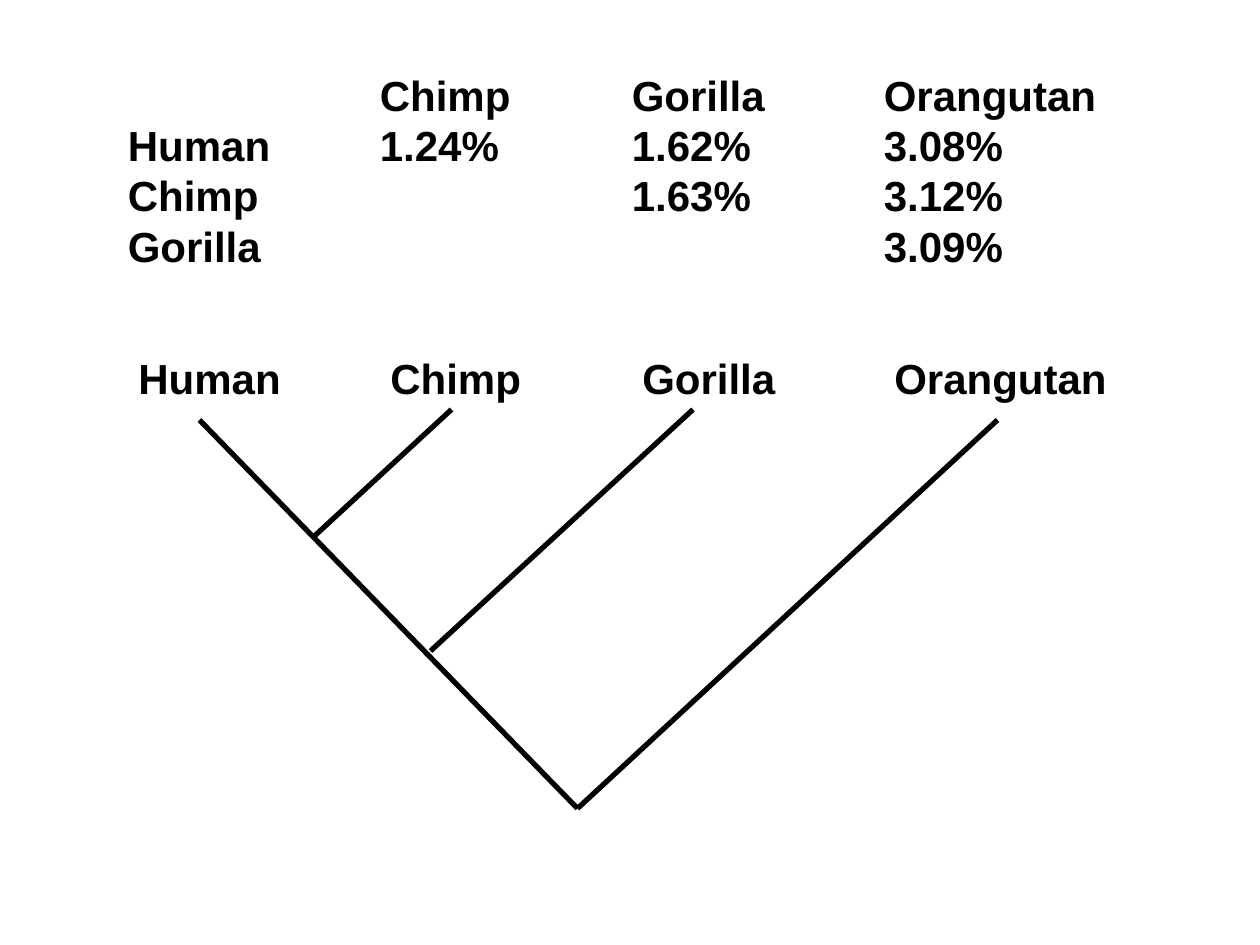
from lxml import etree
from pptx import Presentation
from pptx import util as u
from pptx.dml.color import RGBColor
from pptx.enum import shapes, text
from pptx.oxml.ns import qn

PX = 914400 // 120
BLACK = "000000"
COLUMN = 240
RATES = [
    ["", "Chimp", "Gorilla", "Orangutan"],
    ["Human", "1.24%", "1.62%", "3.08%"],
    ["Chimp", "", "1.63%", "3.12%"],
    ["Gorilla", "", "", "3.09%"],
]
SPECIES = ["Human", "Chimp", "Gorilla", "Orangutan"]
ROOT = (550, 770)
BRANCHES = [
    ((190, 400), ROOT),
    (ROOT, (950, 400)),
    ((300, 510), (430, 390)),
    ((410, 620), (660, 390)),
]


def px(n):
    return u.Emu(n * PX)


def color(code):
    return RGBColor.from_string(code)


def add_tabs(para, count):
    """Set evenly spaced left tab stops, one for each column after the first."""
    tabs = etree.SubElement(para._p.get_or_add_pPr(), qn("a:tabLst"))
    for i in range(1, count):
        etree.SubElement(tabs, qn("a:tab"), pos=str(px(i * COLUMN)), algn="l")


def add_text(slide, rows, left, top, width, height, size=24, font="Arial",
             bold=True, ink=BLACK):
    """Write rows of cells as paragraphs aligned by tab stops."""
    box = slide.shapes.add_textbox(px(left), px(top), px(width), px(height))
    frame = box.text_frame
    frame.word_wrap = False
    frame.auto_size = text.MSO_AUTO_SIZE.SHAPE_TO_FIT_TEXT
    for i, row in enumerate(rows):
        para = frame.add_paragraph() if i else frame.paragraphs[0]
        add_tabs(para, len(row))
        run = para.add_run()
        run.text = "\t".join(row).rstrip()
        run.font.size = u.Pt(size)
        run.font.name = font
        run.font.bold = bold
        run.font.color.rgb = color(ink)


def add_branch(slide, start, end):
    line = slide.shapes.add_connector(
        shapes.MSO_CONNECTOR.STRAIGHT, *map(px, start + end))
    line.line.color.rgb = color(BLACK)
    line.line.width = u.Pt(3)
    etree.SubElement(line._element.spPr, qn("a:effectLst"))


def main():
    deck = Presentation()
    deck.slide_width, deck.slide_height = px(1200), px(900)
    slide = deck.slides.add_slide(deck.slide_layouts[6])
    add_text(slide, RATES, 110, 60, 946, 204)
    add_text(slide, [SPECIES], 120, 330, 946, 60)
    for start, end in BRANCHES:
        add_branch(slide, start, end)
    deck.save("out.pptx")


if __name__ == "__main__":
    main()
